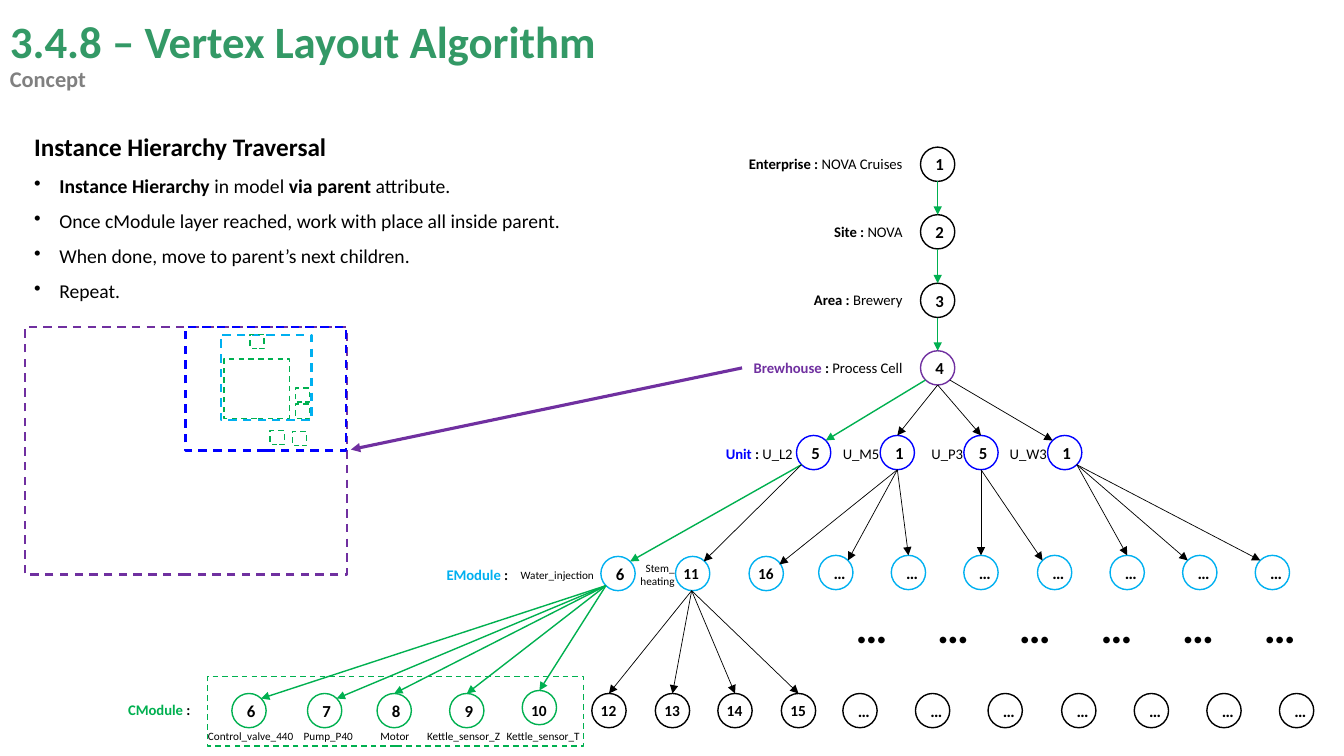
import dataclasses

import pptx
import pptx.dml.color
import pptx.enum.dml
import pptx.enum.shapes
import pptx.enum.text
import pptx.oxml.ns
import pptx.util
from lxml import etree

PX = 9144
NODE = 34
SITES = {"n": (17, 0), "ne": (29, 5), "ene": (30, 8), "se": (29, 29),
         "s": (17, 34), "sw": (5, 29), "nw": (5, 5)}
ALIGN = pptx.enum.text.PP_ALIGN
SHAPE = pptx.enum.shapes.MSO_SHAPE


@dataclasses.dataclass(frozen=True)
class Theme:
    """Colours, font and type sizes of the slide."""
    font: str = "Calibri"
    ink: str = "000000"
    title: str = "339966"
    subtitle: str = "808080"
    cell: str = "7030A0"
    unit: str = "0000FF"
    equipment: str = "00B0F0"
    control: str = "00B050"
    title_size: float = 32
    subtitle_size: float = 16
    heading_size: float = 18
    body_size: float = 14
    node_size: float = 12
    pair_size: float = 11
    label_size: float = 10.5
    small_size: float = 8


THEME = Theme()


@dataclasses.dataclass(frozen=True)
class Box:
    """A rectangle in px."""
    left: float
    top: float
    width: float
    height: float

    def inner(self, left, top, width, height):
        """Return a box placed relative to this one."""
        return Box(self.left + left, self.top + top, width, height)

    def emu(self):
        """Return the four lengths in EMU."""
        return [round(side) * PX for side in dataclasses.astuple(self)]


def rgb(color):
    """Return a colour object."""
    return pptx.dml.color.RGBColor.from_string(color)


def add_span(para, text, size, bold=False, color=THEME.ink):
    """Add one formatted run to a paragraph."""
    span = para.add_run()
    span.text = text
    span.font.name, span.font.size = THEME.font, pptx.util.Pt(size)
    span.font.bold, span.font.color.rgb = bold, rgb(color)


def add_text(page, box, spans, align=ALIGN.RIGHT):
    """Add a wrapped text box with one paragraph and return its frame."""
    frame = page.shapes.add_textbox(*box.emu()).text_frame
    frame.word_wrap = True
    frame.paragraphs[0].alignment = align
    for span in spans:
        add_span(frame.paragraphs[0], *span)
    return frame


def add_outline(page, box, kind, color, weight=1.0, dashed=False):
    """Add an unfilled shape."""
    shape = page.shapes.add_shape(kind, *box.emu())
    shape.shadow.inherit = False
    shape.fill.background()
    shape.line.color.rgb, shape.line.width = rgb(color), pptx.util.Pt(weight)
    if dashed:
        shape.line.dash_style = pptx.enum.dml.MSO_LINE.DASH
    return shape


def add_node(page, box, text, color, drop=3):
    """Add a numbered circle; two digits sit in a text box over it."""
    circle = add_outline(page, box, SHAPE.OVAL, color)
    if len(text) == 2:
        add_text(page, box.inner(-1, drop, 43, 29), [(text, THEME.pair_size, True)], ALIGN.LEFT)
        return box
    frame = circle.text_frame
    frame.vertical_anchor = pptx.enum.text.MSO_ANCHOR.MIDDLE
    frame.paragraphs[0].alignment = ALIGN.CENTER
    add_span(frame.paragraphs[0], text, THEME.node_size, True)
    return box


def add_row(page, box, texts, step, color):
    """Add evenly stepped circles and return their boxes."""
    return [add_node(page, box.inner(step * i, 0, NODE, NODE), text, color)
            for i, text in enumerate(texts)]


def add_arrow(page, start, end, color=THEME.ink, weight=0.5):
    """Add a straight arrow between two points."""
    points = [round(value) * PX for value in (*start, *end)]
    arrow = page.shapes.add_connector(pptx.enum.shapes.MSO_CONNECTOR.STRAIGHT, *points)
    arrow.line.color.rgb, arrow.line.width = rgb(color), pptx.util.Pt(weight)
    name = pptx.oxml.ns.qn
    etree.SubElement(arrow.line._get_or_add_ln(), name("a:tailEnd"), type="triangle")
    etree.SubElement(arrow._element.spPr, name("a:effectLst"))


def link(page, parent, site, children, **style):
    """Join a parent's site to each child's site."""
    def point(box, key):
        return box.left + SITES[key][0], box.top + SITES[key][1]
    for child, end in children:
        add_arrow(page, point(parent, site), point(child, end), **style)


def add_title(page, box):
    """Add title and subtitle."""
    frame = add_text(page, box, [("3.4.8 – Vertex Layout Algorithm", THEME.title_size, True, THEME.title)],
                     ALIGN.LEFT)
    frame.vertical_anchor = pptx.enum.text.MSO_ANCHOR.MIDDLE
    para = frame.paragraphs[0]
    para.line_spacing = 0.9
    para.add_line_break()
    add_span(para, "Concept", THEME.subtitle_size, True, THEME.subtitle)


def add_notes(page, box):
    """Add the heading and its bullets."""
    frame = add_text(page, box, [("Instance Hierarchy Traversal", THEME.heading_size, True)], ALIGN.JUSTIFY)
    frame.paragraphs[0].line_spacing = 0.9
    bullets = [
        [("Instance Hierarchy ", True), ("in model ", False), ("via parent ", True), ("attribute.", False)],
        [("Once cModule layer reached, work with place all inside parent.", False)],
        [("When done, move to parent’s next children.", False)],
        [("Repeat.", False)],
    ]
    for spans in bullets:
        para = frame.add_paragraph()
        props = para._p.get_or_add_pPr()
        props.set("marL", str(25 * PX))
        props.set("indent", str(-25 * PX))
        etree.SubElement(props, pptx.oxml.ns.qn("a:buChar"), char="•")
        para.alignment, para.line_spacing = ALIGN.JUSTIFY, 0.9
        para.space_before = pptx.util.Pt(10)
        for text, bold in spans:
            add_span(para, text, THEME.body_size, bold)


def add_nesting(page, box):
    """Add the nested dashed frames."""
    frames = [(0, 0, box.width, box.height, THEME.cell), (194, 8, 90, 85, THEME.equipment),
              (159, 0, 159, 123, THEME.unit)]
    for *place, color in frames:
        add_outline(page, box.inner(*place), SHAPE.RECTANGLE, color, 1.5, True)
    squares = [(x, y, 14, 14) for x, y in ((265, 104), (243, 103), (223, 8), (268, 77), (268, 61))]
    for place in [(197, 32, 65, 59), *squares]:
        add_outline(page, box.inner(*place), SHAPE.RECTANGLE, THEME.control, 1, True)


def add_chain(page, box):
    """Add the single-node levels and return the lowest node."""
    levels = [("Enterprise", "NOVA Cruises", THEME.ink), ("Site", "NOVA", THEME.ink),
              ("Area", "Brewery", THEME.ink), ("Brewhouse", "Process Cell", THEME.cell)]
    nodes = []
    for i, (level, name, color) in enumerate(levels):
        row = box.inner(0, 67.33 * i, box.width, NODE)
        nodes.append(add_node(page, row.inner(181, 0, NODE, NODE), str(i + 1), color))
        add_text(page, row.inner(0, 3, 173, 28), [(level, THEME.label_size, True, color),
                 (" : ", THEME.label_size, True), (name, THEME.label_size)])
    for upper, lower in zip(nodes, nodes[1:]):
        link(page, upper, "s", [(lower, "n")], color=THEME.control, weight=1)
    return nodes[-1]


def add_units(page, box):
    """Add the unit level and return its nodes."""
    nodes = add_row(page, box.inner(98, 0, NODE, NODE), "5151", 83, THEME.unit)
    size = THEME.label_size
    add_text(page, box.inner(0, 4, 104, 28),
             [("Unit", size, True, THEME.unit), (" : ", size, True), ("U_L2", size)])
    for node, name in zip(nodes[1:], ("U_M5", "U_P3", "U_W3")):
        add_text(page, node.inner(-52, 4, 61, 28), [(name, size)])
    return nodes


def add_equipment(page, box):
    """Add the equipment module level and return its nodes."""
    nodes = add_row(page, box.inner(198, 1, NODE, NODE), ("6", "11", "16"), 73.5, THEME.equipment)
    nodes += add_row(page, box.inner(414, 0, NODE, NODE), "…" * 7, 72.2, THEME.equipment)
    add_text(page, box.inner(0, 5, 116, 28),
             [("EModule", THEME.label_size, True, THEME.equipment), (" :", THEME.label_size, True)])
    add_text(page, box.inner(81, 8, 120, 24), [("Water_injection", THEME.small_size)])
    add_text(page, box.inner(223, 1, 58, 37), [("Stem_ heating", THEME.small_size)])
    for i in range(6):
        add_text(page, box.inner(440 + 81 * i, 38, 52, 64), [("…", THEME.title_size, True)])
    return nodes


def add_controls(page, box):
    """Add the control module level and return its nodes."""
    add_text(page, box.inner(0, 19, 102, 28),
             [("CModule", THEME.label_size, True, THEME.control), (" : ", THEME.label_size, True)])
    modules = [("6", 130, 201, "Control_valve_440"), ("7", 205, 260, "Pump_P40"), ("8", 274, 316, "Motor"),
               ("9", 346, 406, "Kettle_sensor_Z"), ("10", 418, 485, "Kettle_sensor_T")]
    nodes = []
    for number, left, right, name in modules:
        lift = 3 if number == "10" else 0
        nodes.append(add_node(page, box.inner(left, 17 - lift, NODE, NODE), number, THEME.control, 3 + lift))
        add_text(page, box.inner(right - 136, 48, 136, 24), [(name, THEME.small_size)])
    nodes += add_row(page, box.inner(487, 17, NODE, NODE), ("12", "13", "14", "15"), 62.67, THEME.ink)
    add_row(page, box.inner(736, 17, NODE, NODE), "…" * 7, 72.2, THEME.ink)
    add_outline(page, box.inner(106, 0, 373, 69), SHAPE.RECTANGLE, THEME.control, 1, True)
    return nodes


def add_branches(page, cell, units, equipment, controls):
    """Join the levels, with the traversed path in green."""
    walked = {"color": THEME.control, "weight": 1}
    link(page, cell, "sw", [(units[0], "ne")], **walked)
    link(page, cell, "s", [(units[1], "n"), (units[2], "n")])
    link(page, cell, "se", [(units[3], "nw")])
    link(page, units[0], "sw", [(equipment[0], "ne")], **walked)
    link(page, units[0], "sw", [(equipment[1], "ne")])
    link(page, units[1], "s", zip(equipment[2:5], ("ene", "ne", "n")))
    link(page, units[2], "s", zip(equipment[5:7], ("n", "nw")))
    link(page, units[3], "se", zip(equipment[7:], ("n", "nw", "nw")))
    link(page, equipment[0], "sw", zip(controls[:5], ("ne", "ne", "n", "n", "n")), **walked)
    link(page, equipment[1], "s", [(node, "n") for node in controls[5:]])


def main():
    """Build and save the slide."""
    deck = pptx.Presentation()
    deck.slide_width, deck.slide_height = 1333 * PX, 750 * PX
    page = deck.slides.add_slide(deck.slide_layouts[6])
    add_title(page, Box(0, 2, 1333, 108))
    add_notes(page, Box(24, 129, 643, 185))
    add_nesting(page, Box(25, 324, 319, 246))
    cell = add_chain(page, Box(732, 146, 215, 236))
    units = add_units(page, Box(692, 432, 381, 34))
    equipment = add_equipment(page, Box(398, 551, 881, 102))
    controls = add_controls(page, Box(100, 671, 1203, 72))
    add_branches(page, cell, units, equipment, controls)
    add_arrow(page, (736, 365), (348, 446), THEME.cell, 2.25)
    deck.save("out.pptx")


if __name__ == "__main__":
    main()
